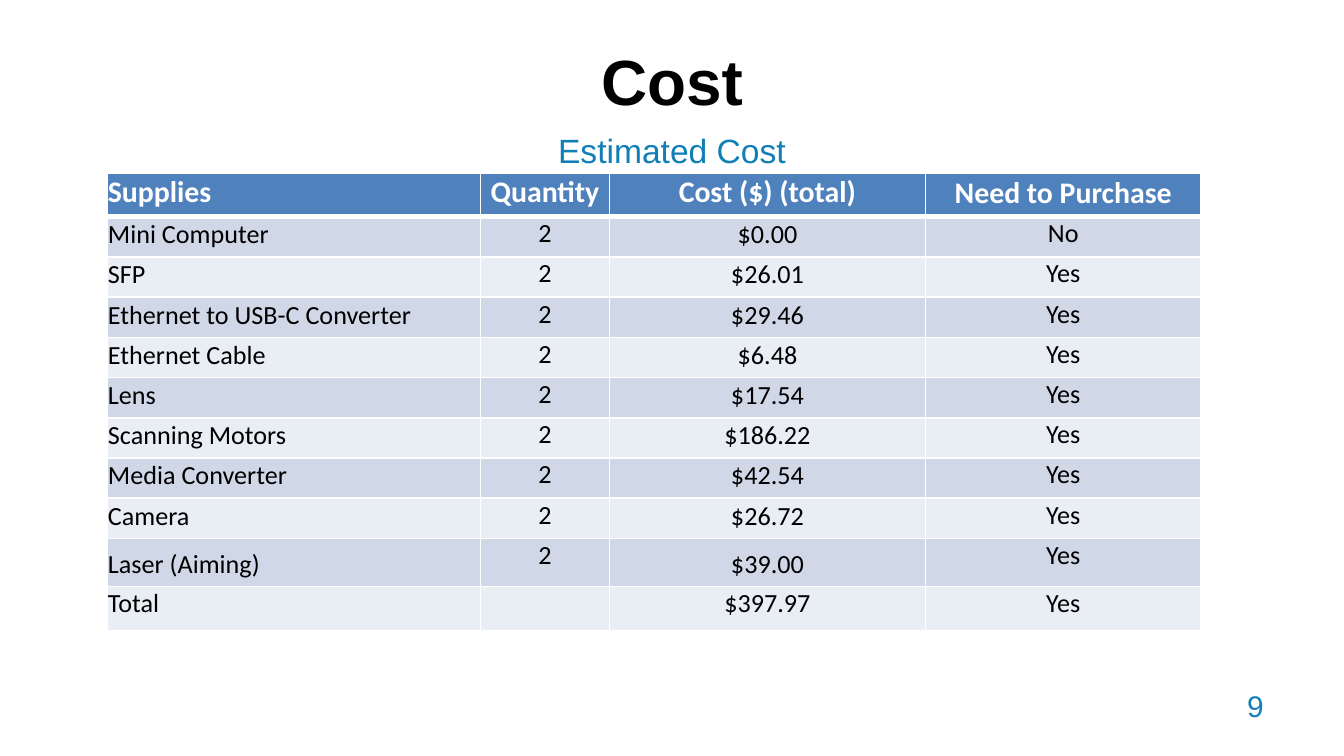
from lxml import etree
from pptx import Presentation
from pptx.dml.color import RGBColor
from pptx.enum import text as t
from pptx.oxml.ns import qn
from pptx.util import Cm, Pt

WHITE, BLACK, TEAL = "FFFFFF", "000000", "107FB8"
HEAD, BANDS = "4F81BD", ("D0D8E8", "E9EDF4")
LEFT, MID, RIGHT = t.PP_ALIGN.LEFT, t.PP_ALIGN.CENTER, t.PP_ALIGN.RIGHT
TOP, CENTRE, LOW = t.MSO_ANCHOR.TOP, t.MSO_ANCHOR.MIDDLE, t.MSO_ANCHOR.BOTTOM

HEADS = ("Supplies", "Quantity", "Cost ($) (total)", "Need to Purchase")
ITEMS = (
    ("Mini Computer", "2", "$0.00", "No"),
    ("SFP", "2", "$26.01", "Yes"),
    ("Ethernet to USB-C Converter", "2", "$29.46", "Yes"),
    ("Ethernet Cable", "2", "$6.48", "Yes"),
    ("Lens", "2", "$17.54", "Yes"),
    ("Scanning Motors", "2", "$186.22", "Yes"),
    ("Media Converter", "2", "$42.54", "Yes"),
    ("Camera", "2", "$26.72", "Yes"),
    ("Laser (Aiming)", "2", "$39.00", "Yes"),
    ("Total", "", "$397.97", "Yes"),
)
WIDTHS = (7.06, 2.44, 5.97, 5.21)
HEIGHTS = (0.81,) + (0.76,) * 8 + (0.91, 0.83)


def rgb(code):
    return RGBColor.from_string(code)


def write(frame, words, size, color, align, face="Arial", bold=False):
    frame.text = words
    para = frame.paragraphs[0]
    para.alignment = align
    for run in para.runs:
        font = run.font
        font.name, font.size, font.bold = face, Pt(size), bold
        font.color.rgb = rgb(color)


def place(shape, left, top, width, height):
    shape.left, shape.top = Cm(left), Cm(top)
    shape.width, shape.height = Cm(width), Cm(height)


def label(slide, box, words, size, align, anchor):
    shape = slide.shapes.add_textbox(*map(Cm, box))
    frame = shape.text_frame
    frame.word_wrap = True
    frame.vertical_anchor = anchor
    write(frame, words, size, TEAL, align)


def edge(cell, side, width):
    """Draw a white border on one side: L, R, T or B."""
    line = etree.SubElement(cell._tc.get_or_add_tcPr(), qn("a:ln" + side),
                            w=str(Pt(width)))
    fill = etree.SubElement(line, qn("a:solidFill"))
    etree.SubElement(fill, qn("a:srgbClr"), val=WHITE)


def style(cell, row, col, words):
    head = row == 0
    for side in "LRTB":
        thick = (row, side) in ((0, "B"), (1, "T"))
        edge(cell, side, 3 if thick else 1)
    cell.fill.solid()
    cell.fill.fore_color.rgb = rgb(HEAD if head else BANDS[(row - 1) % 2])
    cell.margin_left = cell.margin_right = cell.margin_top = Cm(0.02)
    cell.margin_bottom = Cm(0.12)
    high = row == len(ITEMS) or col == 3 or (col == 1 and not head)
    cell.vertical_anchor = TOP if high else LOW
    size = 16 if head else 14
    write(cell.text_frame, words, size, WHITE if head else BLACK,
          MID if col else LEFT, "Calibri", head)
    if not words:  # keeps the empty cell from stretching its row
        para = cell.text_frame.paragraphs[0]
        etree.SubElement(para._p, qn("a:endParaRPr"), sz=str(size * 100))


def grid(slide, left, top):
    rows = (HEADS,) + ITEMS
    table = slide.shapes.add_table(
        len(rows), len(HEADS), Cm(left), Cm(top),
        Cm(sum(WIDTHS)), Cm(sum(HEIGHTS))).table
    for col, width in zip(table.columns, WIDTHS):
        col.width = Cm(width)
    for row, height in zip(table.rows, HEIGHTS):
        row.height = Cm(height)
    for r, row in enumerate(rows):
        for c, words in enumerate(row):
            style(table.cell(r, c), r, c, words)


def main():
    deck = Presentation()
    deck.slide_width, deck.slide_height = Cm(25.4), Cm(14.29)
    slide = deck.slides.add_slide(deck.slide_layouts[5])
    title = slide.shapes.title
    place(title, 1.27, 0.58, 22.86, 1.85)
    frame = title.text_frame
    frame.auto_size = t.MSO_AUTO_SIZE.NONE
    frame.vertical_anchor = CENTRE
    write(frame, "Cost", 34.2, BLACK, MID, bold=True)
    label(slide, (1.27, 2.27, 22.86, 1.12), "Estimated Cost", 18, MID, CENTRE)
    label(slide, (22.73, 12.88, 1.4, 1.14), "9", 16, RIGHT, TOP)
    grid(slide, 2.02, 3.28)
    deck.save("out.pptx")


if __name__ == "__main__":
    main()
